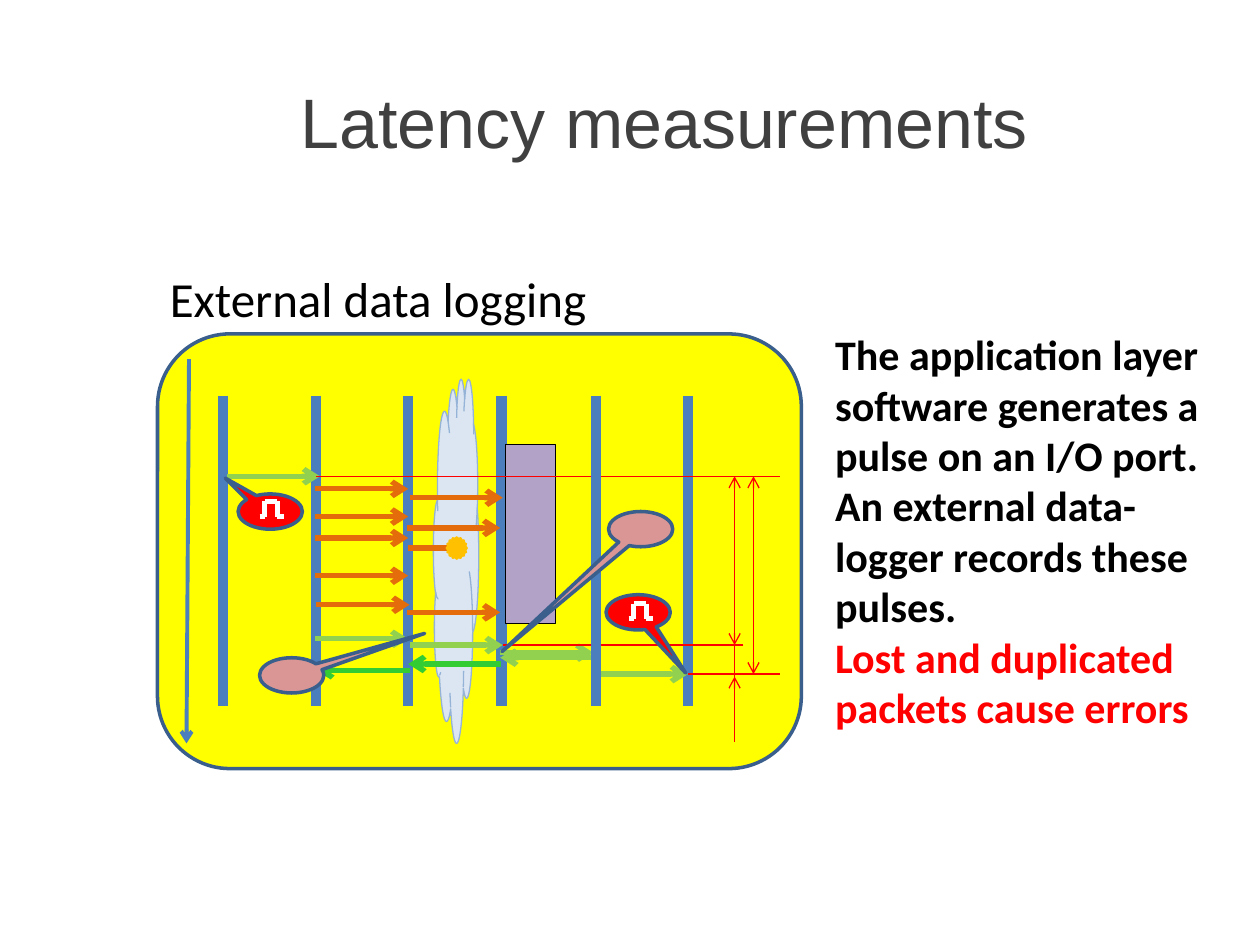
from lxml import etree
from pptx import Presentation
from pptx.dml.color import RGBColor
from pptx.enum import shapes, text
from pptx.oxml.ns import qn
from pptx.util import Inches, Pt

BLACK = RGBColor(0x00, 0x00, 0x00)
WHITE = RGBColor(0xFF, 0xFF, 0xFF)
GREY = RGBColor(0x40, 0x40, 0x40)
RED = RGBColor(0xFF, 0x00, 0x00)
YELLOW = RGBColor(0xFF, 0xFF, 0x00)
BLUE = RGBColor(0x4B, 0x7E, 0xBC)
DARK_BLUE = RGBColor(0x3A, 0x5F, 0x8C)
PALE_BLUE = RGBColor(0xDC, 0xE6, 0xF2)
CLOUD_EDGE = RGBColor(0x95, 0xB3, 0xD7)
LIGHT_GREEN = RGBColor(0x92, 0xD0, 0x50)
GREEN = RGBColor(0x33, 0xCC, 0x33)
ORANGE = RGBColor(0xE4, 0x6C, 0x0A)
GOLD = RGBColor(0xFF, 0xC0, 0x00)
PURPLE = RGBColor(0xB3, 0xA2, 0xC7)
PINK = RGBColor(0xD9, 0x96, 0x94)

SHAPE = shapes.MSO_SHAPE
BAR_TOP, BAR_BOTTOM = 3.14, 5.6

prs = Presentation()
prs.slide_width, prs.slide_height = Inches(10), Inches(7.5)
s = prs.slides.add_slide(prs.slide_layouts[6])


def line(x1, y1, x2, y2, color, width, ends=(), parent=s):
    """Draw a straight line; ends may hold "headEnd" (start) and "tailEnd" (finish)."""
    cn = parent.shapes.add_connector(
        shapes.MSO_CONNECTOR.STRAIGHT, Inches(x1), Inches(y1), Inches(x2), Inches(y2))
    cn.line.color.rgb = color
    cn.line.width = Pt(width)
    ln = cn.line._get_or_add_ln()
    for end in ends:
        etree.SubElement(ln, qn("a:" + end), type="arrow")
    etree.SubElement(cn._element.spPr, qn("a:effectLst"))


def shape(kind, x, y, w, h, fill, edge, width, adjustments=()):
    sp = s.shapes.add_shape(kind, Inches(x), Inches(y), Inches(w), Inches(h))
    sp.shadow.inherit = False
    sp.fill.solid()
    sp.fill.fore_color.rgb = fill
    sp.line.color.rgb = edge
    sp.line.width = Pt(width)
    for i, value in enumerate(adjustments):
        sp.adjustments[i] = value
    return sp


# Title, caption and explanation
for x, y, w, h, wrap, font, size, bold, paragraphs in [
    (1.49, 0.56, 7.56, 0.8, True, "Arial", 40, False, [("Latency measurements", GREY)]),
    (1.25, 2.08, 3.54, 0.57, False, "Calibri", 28, False, [("External data logging", BLACK)]),
    (6.53, 2.56, 3.37, 3.33, True, "Calibri", 24, True, [
        ("The application layer software generates a pulse on an I/O port.\v"
         "An external data-logger records these pulses.", BLACK),
        ("Lost and duplicated packets cause errors", RED)]),
]:
    tf = s.shapes.add_textbox(Inches(x), Inches(y), Inches(w), Inches(h)).text_frame
    tf.word_wrap = wrap
    for i, (words, color) in enumerate(paragraphs):
        p = tf.add_paragraph() if i else tf.paragraphs[0]
        p.text = words
        p.font.name, p.font.size, p.font.bold = font, Pt(size), bold
        p.font.color.rgb = color
        if font == "Arial":
            p.alignment = text.PP_ALIGN.CENTER
            tf.vertical_anchor = text.MSO_ANCHOR.MIDDLE

# Panel, time axis, layer bars and network cloud
shape(SHAPE.ROUNDED_RECTANGLE, 1.25, 2.65, 5.11, 3.45, YELLOW, DARK_BLUE, 2)
line(1.48, 5.9, 1.5, 2.85, BLUE, 2.25, ["headEnd"])
for x in (1.77, 2.51, 3.24, 3.98, 5.46):
    line(x, BAR_TOP, x, BAR_BOTTOM, BLUE, 6)
shape(SHAPE.CLOUD, 3.44, 3, 0.36, 2.89, PALE_BLUE, CLOUD_EDGE, 0.75)

# Messages between neighbouring bars
for x, y, color in [
    (1.8, 3.78, LIGHT_GREEN), (2.5, 4.1, ORANGE), (2.5, 3.88, ORANGE),
    (2.5, 4.27, ORANGE), (3.97, 5.18, LIGHT_GREEN), (4.72, 5.35, LIGHT_GREEN),
    (3.23, 4.86, ORANGE), (2.5, 4.57, ORANGE), (3.23, 4.19, ORANGE),
    (3.25, 3.95, ORANGE), (3.25, 5.12, LIGHT_GREEN), (2.5, 5.07, LIGHT_GREEN),
    (2.51, 4.8, ORANGE),
]:
    line(x, y, x + 0.74, y, color, 3, ["tailEnd"])

# Lost packet and processing block
line(3.24, 4.35, 3.55, 4.35, ORANGE, 3)
shape(SHAPE.STAR_16_POINT, 3.55, 4.27, 0.15, 0.16, GOLD, GOLD, 2)
shape(SHAPE.RECTANGLE, 3.5, 4.04, 1.42, 0.4, PURPLE, BLACK, 0.75).rotation = 270

# Replies
for x, y, color in [(3.97, 5.22, LIGHT_GREEN), (2.51, 5.32, GREEN), (3.24, 5.27, GREEN)]:
    line(x, y, x + 0.74, y, color, 3, ["headEnd"])

# Latency dimensions
for x1, y1, x2, y2, ends in [
    (2.51, 3.78, 6.19, 3.78, []),
    (5.46, 5.35, 6.19, 5.35, []),
    (5.9, 5.12, 3.99, 5.12, []),
    (5.83, 3.78, 5.83, 5.12, ["headEnd", "tailEnd"]),
    (5.83, 5.37, 5.83, 5.6, ["headEnd"]),
    (5.98, 3.78, 5.98, 5.35, ["headEnd", "tailEnd"]),
    (5.83, 5.12, 5.83, 5.89, []),
]:
    line(x1, y1, x2, y2, RED, 0.75, ends)

# Callouts, the last one in front of the fifth bar
line(4.73, BAR_TOP, 4.73, BAR_BOTTOM, BLUE, 6)
for x, y, fill, tip in [
    (1.89, 3.92, RED, (-0.7, -0.95)),
    (2.06, 5.22, PINK, (2.07, -1.19)),
    (4.81, 4.72, RED, (0.74, 1.72)),
    (4.83, 4.06, PINK, (-2.16, 3.47)),
]:
    shape(SHAPE.OVAL_CALLOUT, x, y, 0.51, 0.28, fill, DARK_BLUE, 2, tip)

# Pulse symbols
PULSE = [(0, 0.12), (0.04, 0.12), (0.04, 0), (0.14, 0), (0.14, 0.12), (0.19, 0.12)]
for x, y in [(2.06, 3.98), (4.99, 4.79)]:
    group = s.shapes.add_group_shape()
    for (x1, y1), (x2, y2) in zip(PULSE, PULSE[1:]):
        line(x + x1, y + y1, x + x2, y + y2, WHITE, 3, parent=group)

prs.save("out.pptx")
